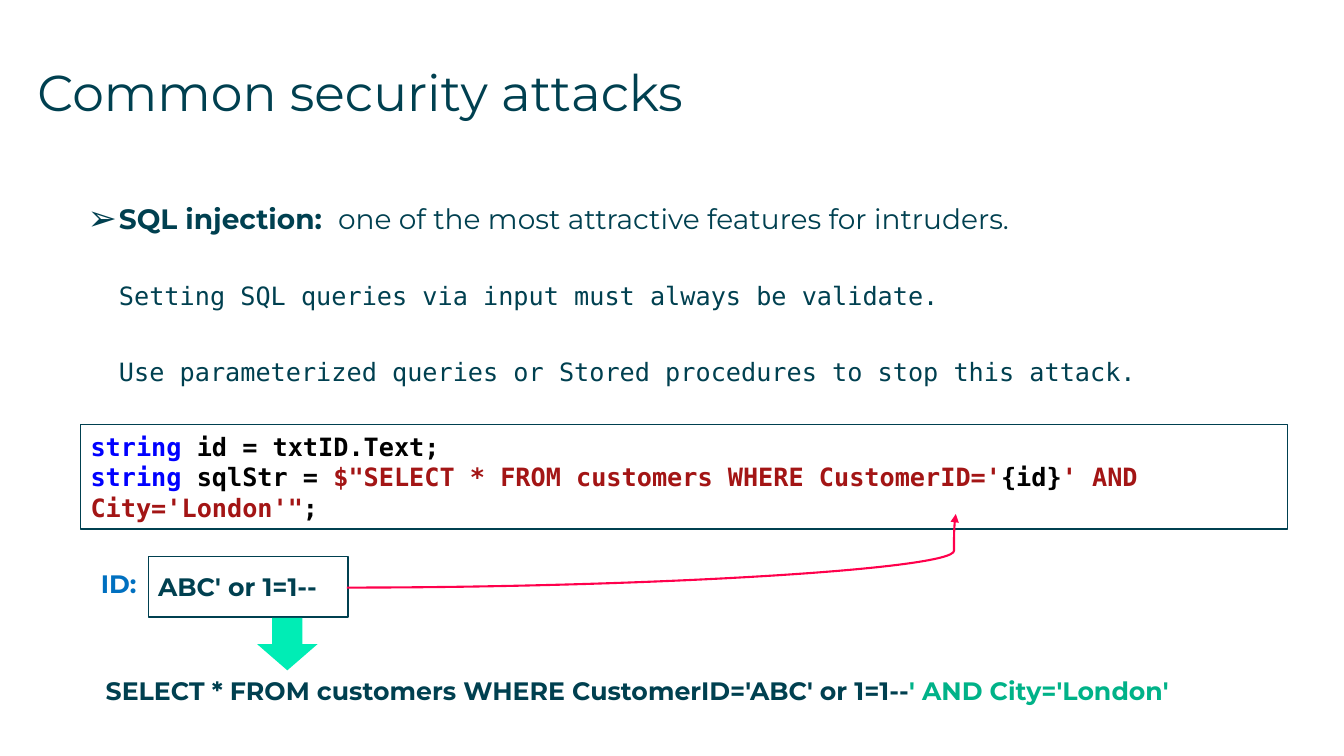
from dataclasses import dataclass
from typing import Optional

from lxml import etree
from pptx import Presentation
from pptx import util as u
from pptx.dml.color import RGBColor
from pptx.enum import shapes, text
from pptx.oxml.ns import qn

COLORS = {
    "white": "FFFFFF", "black": "000000", "ink": "004050", "keyword": "0000FF",
    "string": "A31515", "label": "0070C0", "ignored": "00B288",
    "mint": "00EDB5", "arrow": "FF004C",
}
SANS = "Montserrat"
MONO = "DejaVu Sans Mono"


@dataclass
class Span:
    text: str
    color: Optional[str] = None
    size: Optional[float] = None
    font: Optional[str] = None
    bold: Optional[bool] = None


@dataclass
class Box:
    left: float
    top: float
    width: float
    height: float
    lines: list[list[Span]]
    font: str = SANS
    color: str = "ink"
    framed: bool = False
    margins: bool = True
    wrap: bool = True


BOXES = [
    Box(0.8, 4.21, 11.97, 1.04, [
        [Span("string", "keyword"), Span(" id = txtID.Text;")],
        [Span("string ", "keyword"), Span("sqlStr = "),
         Span("$\"SELECT * FROM customers WHERE CustomerID='", "string"),
         Span("{id}"), Span("' AND City='London'\"", "string"), Span(";")],
    ], font=MONO, color="black", framed=True),
    Box(1.47, 5.52, 1.98, 0.6, [[Span("ABC' or 1=1--")]], framed=True),
    Box(1, 5.64, 1, 0.41, [[Span("ID:")]], color="label", margins=False, wrap=False),
    Box(0.95, 6.65, 11.72, 0.4, [
        [Span("SELECT * FROM customers WHERE CustomerID='ABC' or 1=1--"),
         Span("' AND City='London'", "ignored")],
    ]),
]


def rgb(name: str) -> RGBColor:
    return RGBColor.from_string(COLORS[name])


def set_font(font, name: str, size: float, color: str, bold: bool = False) -> None:
    font.name, font.size, font.bold = name, u.Pt(size), bold
    font.color.rgb = rgb(color)


def add_span(paragraph, span: Span) -> None:
    """Append a run that overrides only what differs from its paragraph."""
    run = paragraph.add_run()
    run.text = span.text
    if span.color:
        run.font.color.rgb = rgb(span.color)
    if span.size:
        run.font.size = u.Pt(span.size)
    if span.font:
        run.font.name = span.font
    if span.bold is not None:
        run.font.bold = span.bold


def clear_margins(frame) -> None:
    frame.margin_left = frame.margin_right = frame.margin_top = frame.margin_bottom = 0


def place(placeholder, left: float, top: float, width: float, height: float):
    """Move a placeholder and return its text frame, ready for text."""
    placeholder.left, placeholder.top = u.Inches(left), u.Inches(top)
    placeholder.width, placeholder.height = u.Inches(width), u.Inches(height)
    frame = placeholder.text_frame
    clear_margins(frame)
    frame.vertical_anchor = text.MSO_ANCHOR.TOP
    frame.auto_size = text.MSO_AUTO_SIZE.NONE
    return frame


def add_title(slide) -> None:
    paragraph = place(slide.shapes.title, 0.37, 0.61, 12.6, 0.88).paragraphs[0]
    paragraph.alignment = text.PP_ALIGN.LEFT
    set_font(paragraph.font, SANS, 36, "ink")
    add_span(paragraph, Span("Common security attacks"))


def set_bullet(paragraph, character: str, percent: int, left: float, indent: float) -> None:
    properties = paragraph._p.get_or_add_pPr()
    properties.set("marL", str(u.Inches(left)))
    properties.set("indent", str(u.Inches(indent)))
    size = etree.Element(qn("a:buSzPct"), val=str(percent * 1000))
    bullet = etree.Element(qn("a:buChar"), char=character)
    default_font = properties.find(qn("a:defRPr"))
    default_font.addprevious(size)
    default_font.addprevious(bullet)


def add_body(slide) -> None:
    paragraph = place(slide.placeholders[1], 0.37, 1.5, 12.59, 5.42).paragraphs[0]
    paragraph.level = 1
    paragraph.line_spacing = 2.5
    paragraph.space_before, paragraph.space_after = u.Pt(0), u.Pt(6.5)
    set_font(paragraph.font, SANS, 20, "ink")
    set_bullet(paragraph, "➢", 125, 0.81, -0.31)
    add_span(paragraph, Span("SQL injection:  ", bold=True))
    add_span(paragraph, Span("one of the most attractive features for intruders."))
    for advice in (
        "Setting SQL queries via input must always be validate.",
        "Use parameterized queries or Stored procedures to stop this attack.",
    ):
        paragraph.add_line_break()
        add_span(paragraph, Span(advice, size=18, font=MONO))


def add_box(slide, box: Box) -> None:
    bounds = [u.Inches(n) for n in (box.left, box.top, box.width, box.height)]
    if box.framed:
        shape = slide.shapes.add_shape(shapes.MSO_SHAPE.RECTANGLE, *bounds)
        shape.shadow.inherit = False
        shape.fill.solid()
        shape.fill.fore_color.rgb = rgb("white")
        shape.line.color.rgb = rgb("ink")
        shape.line.width = u.Pt(1)
        shape.text_frame.vertical_anchor = text.MSO_ANCHOR.MIDDLE
    else:
        shape = slide.shapes.add_textbox(*bounds)
    frame = shape.text_frame
    frame.word_wrap = box.wrap
    if not box.margins:
        clear_margins(frame)
    for index, spans in enumerate(box.lines):
        paragraph = frame.add_paragraph() if index else frame.paragraphs[0]
        paragraph.alignment = text.PP_ALIGN.LEFT
        set_font(paragraph.font, box.font, 18, box.color, bold=True)
        for span in spans:
            add_span(paragraph, span)


def add_result_arrow(slide) -> None:
    arrow = slide.shapes.add_shape(
        shapes.MSO_SHAPE.DOWN_ARROW,
        u.Inches(2.55), u.Inches(6.13), u.Inches(0.6), u.Inches(0.52))
    arrow.shadow.inherit = False
    arrow.fill.solid()
    arrow.fill.fore_color.rgb = rgb("mint")
    arrow.line.fill.background()


def add_injection_curve(slide) -> None:
    curve = slide.shapes.add_connector(
        shapes.MSO_CONNECTOR.CURVE,
        u.Inches(3.44), u.Inches(5.83), u.Inches(9.48), u.Inches(5.1))
    curve.line.color.rgb = rgb("arrow")
    curve.line.width = u.Pt(1.5)
    properties = curve._element.spPr
    geometry = properties.find(qn("a:prstGeom"))
    adjustments = geometry.find(qn("a:avLst"))
    if adjustments is None:
        adjustments = etree.SubElement(geometry, qn("a:avLst"))
    etree.SubElement(adjustments, qn("a:gd"), name="adj1", fmla="val 99700")
    etree.SubElement(properties.find(qn("a:ln")), qn("a:tailEnd"), type="triangle")
    etree.SubElement(properties, qn("a:effectLst"))


def main() -> None:
    presentation = Presentation()
    presentation.slide_width, presentation.slide_height = u.Inches(13.33), u.Inches(7.5)
    slide = presentation.slides.add_slide(presentation.slide_layouts[1])
    add_title(slide)
    add_body(slide)
    for box in BOXES:
        add_box(slide, box)
    add_result_arrow(slide)
    add_injection_curve(slide)
    presentation.save("out.pptx")


if __name__ == "__main__":
    main()
